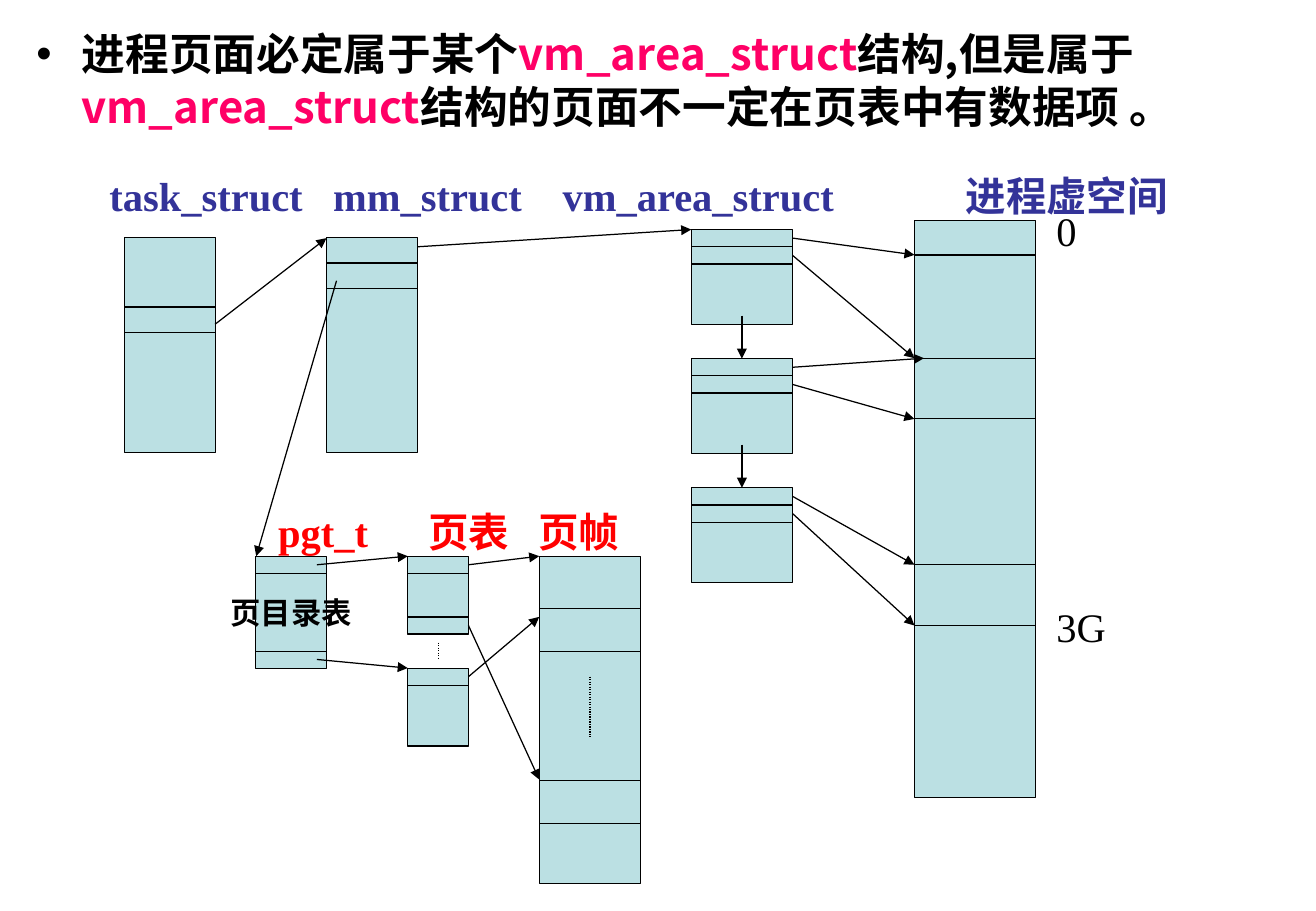
from lxml import etree
from pptx import Presentation
from pptx.dml.color import RGBColor
from pptx.enum.dml import MSO_LINE
from pptx.enum.shapes import MSO_CONNECTOR, MSO_SHAPE
from pptx.enum.text import MSO_ANCHOR, PP_ALIGN
from pptx.oxml.ns import qn
from pptx.util import Cm, Pt

STRAIGHT = MSO_CONNECTOR.STRAIGHT
RECT = MSO_SHAPE.RECTANGLE
DOTTED = MSO_LINE.ROUND_DOT
MIDDLE = MSO_ANCHOR.MIDDLE
CENTER = PP_ALIGN.CENTER
BLACK = RGBColor(0x00, 0x00, 0x00)
PINK = RGBColor(0xFF, 0x00, 0x66)
BLUE = RGBColor(0x33, 0x33, 0x99)
RED = RGBColor(0xFF, 0x00, 0x00)
TEAL = RGBColor(0xBB, 0xE0, 0xE3)
SANS = "Noto Sans CJK SC"
SERIF = "Times New Roman"
LINE_WIDTH = Pt(0.75)

prs = Presentation()
prs.slide_width, prs.slide_height = Cm(27.53), Cm(19.05)
s = prs.slides.add_slide(prs.slide_layouts[6])


def add_run(p, text, color, size, bold=True, font=SERIF):
    r = p.add_run()
    r.text = text
    for name, value in {"name": font, "size": Pt(size), "bold": bold}.items():
        setattr(r.font, name, value)
    r.font.color.rgb = color
    etree.SubElement(r.font._element, qn("a:ea"), typeface=SANS)


def add_line(x1, y1, x2, y2, arrow=False):
    line = s.shapes.add_connector(STRAIGHT, Cm(x1), Cm(y1), Cm(x2), Cm(y2))
    line.line.color.rgb = BLACK
    line.line.width = LINE_WIDTH
    if arrow:
        etree.SubElement(line.line._get_or_add_ln(), qn("a:tailEnd"), type="triangle")
    etree.SubElement(line._element.spPr, qn("a:effectLst"))
    return line


# Heading
tf = s.shapes.add_textbox(Cm(0.51), Cm(0.44), Cm(26.42), Cm(3.6)).text_frame
tf.word_wrap = True
p = tf.paragraphs[0]
p.line_spacing = 1.0
pPr = p._p.get_or_add_pPr()
pPr.set("marL", str(Cm(0.95)))
pPr.set("indent", str(Cm(-0.95)))
etree.SubElement(pPr, qn("a:buFont"), typeface="Arial")
etree.SubElement(pPr, qn("a:buChar"), char="•")
for text, color in [
    ("进程页面必定属于某个", BLACK),
    ("vm_area_struct", PINK),
    ("结构,但是属于", BLACK),
    ("vm_area_struct", PINK),
    ("结构的页面不一定在页表中有数据项 。", BLACK),
]:
    add_run(p, text, color, 25.9, font=SANS)

# Structures: left, top, width, height, offsets of the dividers from the top
VMA_X, VMA_W, VMA_H = 14.46, 2.12, 1.98
VMA_TOPS = [4.8 + 2.7 * i for i in range(3)]
structures = {
    "task_struct": (2.6, 4.97, 1.91, 4.5, [1.45, 1.98]),
    "mm_struct": (6.83, 4.97, 1.91, 4.5, [0.53, 1.07]),
    "address space": (19.13, 4.61, 2.54, 12.07, [0.72, 2.88, 4.14, 7.2, 8.47]),
    "page directory": (5.35, 11.64, 1.48, 2.34, [0.36, 1.98]),
    "page table 1": (8.53, 11.64, 1.27, 1.62, [0.36, 1.26]),
    "page table 2": (8.53, 13.98, 1.27, 1.62, [0.36]),
    "page frames": (11.28, 11.64, 2.12, 6.84, [1.08, 1.98, 4.68, 5.58]),
}
for i, top in enumerate(VMA_TOPS, 1):
    structures[f"vm_area {i}"] = (VMA_X, top, VMA_W, VMA_H, [0.36, 0.72])

boxes = {}
for name, (x, y, w, h, dividers) in structures.items():
    sp = s.shapes.add_shape(RECT, Cm(x), Cm(y), Cm(w), Cm(h))
    sp.shadow.inherit = False
    sp.fill.solid()
    sp.fill.fore_color.rgb = TEAL
    sp.line.color.rgb = BLACK
    sp.line.width = LINE_WIDTH
    boxes[name] = sp
    for offset in dividers:
        add_line(x, y + offset, x + w, y + offset)

tf = boxes["page directory"].text_frame
tf.word_wrap = False
tf.vertical_anchor = MIDDLE
tf.paragraphs[0].alignment = CENTER
add_run(tf.paragraphs[0], "页目录表", BLACK, 18)

# Pointers between structures
for ends in [
    (4.5, 6.78, 6.83, 4.98),
    (8.74, 5.16, VMA_X, 4.8),
    (7.04, 5.87, 5.36, 11.63),
    (6.63, 11.81, 8.53, 11.63),
    (6.63, 13.79, 8.53, 13.97),
    (9.8, 11.81, 11.28, 11.63),
    (9.8, 13.08, 11.28, 16.3),
    (9.8, 14.15, 11.28, 12.9),
]:
    add_line(*ends, arrow=True)

# Each area points to its start and its end in the address space
area_targets = [
    [(19.13, 5.33), (19.13, 7.49)],
    [(19.33, 7.49), (19.13, 8.76)],
    [(19.13, 11.81), (19.13, 13.08)],
]
for top, targets in zip(VMA_TOPS, area_targets):
    for offset, target in zip((0.18, 0.54), targets):
        add_line(VMA_X + VMA_W, top + offset, *target, arrow=True)

# Each area points to the next one
center = VMA_X + VMA_W / 2
for i, (top, next_top) in enumerate(zip(VMA_TOPS, VMA_TOPS[1:]), 2):
    line = add_line(center, top + 1.8, center, next_top, arrow=True)
    line.end_connect(boxes[f"vm_area {i}"], 0)

# Omitted tables and frames
for x, y1, y2 in [(9.17, 13.44, 13.79), (12.34, 14.15, 15.42)]:
    add_line(x, y1, x, y2).line.dash_style = DOTTED

# Labels
for text, x, y, w, color, bold in [
    ("task_struct", 2.04, 3.46, 4.6, BLUE, True),
    ("mm_struct", 6.72, 3.46, 4.5, BLUE, True),
    ("vm_area_struct", 11.52, 3.46, 6.2, BLUE, True),
    ("进程虚空间", 19.95, 3.46, 4.8, BLUE, True),
    ("0", 21.85, 4.18, 0.91, BLACK, False),
    ("3G", 21.85, 12.46, 1.55, BLACK, False),
    ("pgt_t", 5.57, 10.48, 2.4, RED, True),
    ("页表", 8.71, 10.48, 2.2, RED, True),
    ("页帧", 11.01, 10.48, 2.2, RED, True),
]:
    tf = s.shapes.add_textbox(Cm(x), Cm(y), Cm(w), Cm(1.27)).text_frame
    tf.word_wrap = False
    add_run(tf.paragraphs[0], text, color, 24, bold)

prs.save("out.pptx")
